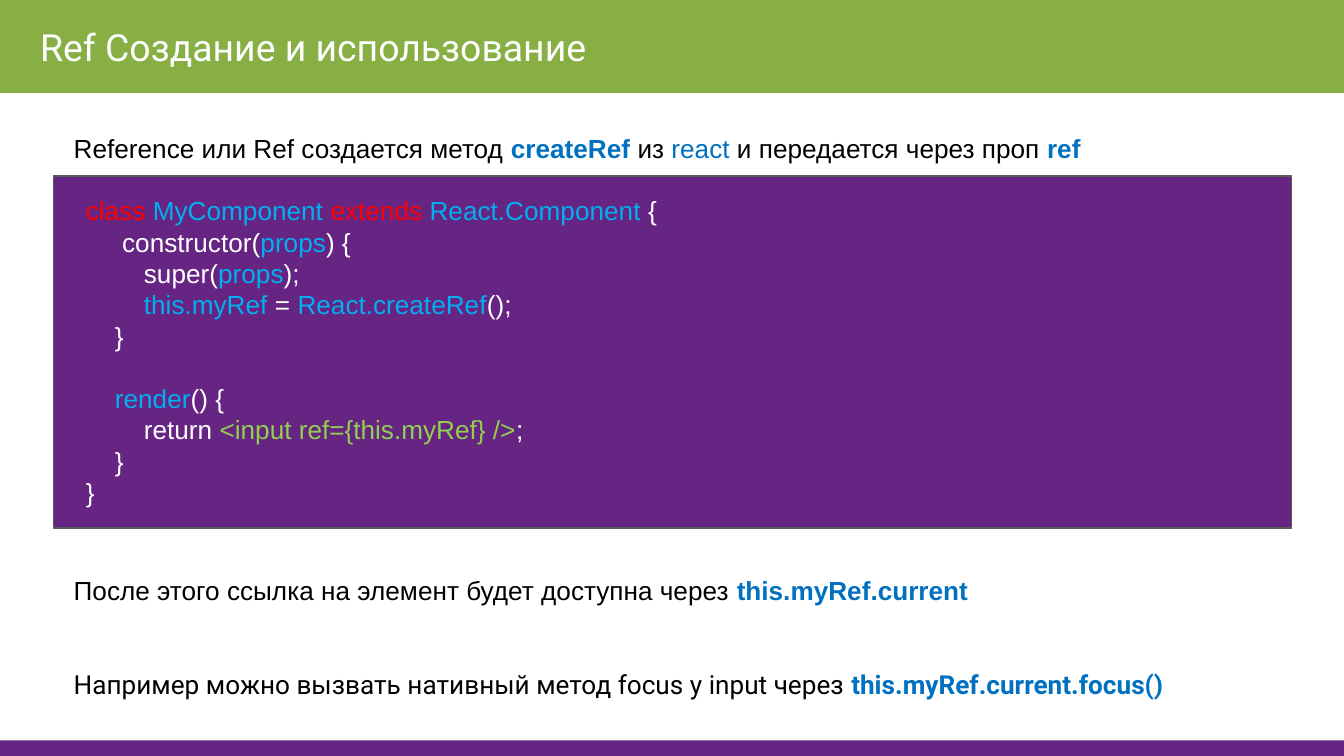
import pptx
import pptx.util
import pptx.dml.color
import pptx.enum.shapes

Inches = pptx.util.Inches
Pt = pptx.util.Pt

THEME = {
    "green": "88AF43", "purple": "662483", "border": "595959",
    "white": "FFFFFF", "black": "000000", "blue": "0070C0",
    "keyword": "FF0000", "name": "00B0F0", "markup": "92D050",
    "title_size": 20, "text_size": 14,
    "text_font": "Arial", "title_font": "Roboto",
}

TITLE = "Ref Создание и использование"

INTRO = [
    ("Reference или Ref создается метод ", "black"), ("createRef ", "blue", True),
    ("из ", "black"), ("react", "blue"),
    (" и передается через проп ", "black"), ("ref", "blue", True),
]

CODE = [
    (0, [("class ", "keyword"), ("MyComponent ", "name"), ("extends ", "keyword"),
         ("React.Component ", "name"), ("{", "white")]),
    (5, [("constructor(", "white"), ("props", "name"), (") {", "white")]),
    (8, [("super(", "white"), ("props", "name"), (");", "white")]),
    (8, [("this.myRef ", "name"), ("= ", "white"), ("React.createRef", "name"), ("();", "white")]),
    (4, [("}", "white")]),
    (4, [("render", "name"), ("() {", "white")]),
    (8, [("return ", "white"), ("<input ref={this.myRef} />", "markup"), (";", "white")]),
    (4, [("}", "white")]),
    (0, [("}", "white")]),
]
RENDER_LINE = 5

ACCESS = [
    ("После этого ссылка на элемент будет доступна через ", "black"),
    ("this.myRef.current", "blue", True),
]
EXAMPLE = [
    ("Например можно вызвать нативный метод focus у input через ", "black"),
    ("this.myRef.current.focus()", "blue", True),
]

BODY_INDENT = 0.15
CODE_INDENT = 0.27 / 5
BODY_SPACING = 1.5
CODE_GAP = 16.5
BODY_GAP = 25


def color(name):
    return pptx.dml.color.RGBColor.from_string(THEME[name])


def add_bar(shapes, box, fill, line=None):
    shape = shapes.add_shape(pptx.enum.shapes.MSO_SHAPE.RECTANGLE, *map(Inches, box))
    shape.shadow.inherit = False
    shape.fill.solid()
    shape.fill.fore_color.rgb = color(fill)
    if line:
        shape.line.color.rgb = color(line)
        shape.line.width = Pt(0.75)
    else:
        shape.line.fill.background()


def add_text(shapes, box, lines, inset=0.1, font="text_font", size="text_size"):
    frame = shapes.add_textbox(*map(Inches, box)).text_frame
    frame.word_wrap = True
    frame.margin_left = frame.margin_right = Inches(0.1)
    frame.margin_top = frame.margin_bottom = Inches(inset)
    for index, (indent, runs) in enumerate(lines):
        paragraph = frame.add_paragraph() if index else frame.paragraphs[0]
        paragraph.font.name = THEME[font]
        paragraph.font.size = Pt(THEME[size])
        properties = paragraph._p.get_or_add_pPr()
        properties.set("marL", str(Inches(indent)))
        properties.set("indent", "0")
        for text, tint, *bold in runs:
            run = paragraph.add_run()
            run.text = text
            run.font.color.rgb = color(tint)
            if bold:
                run.font.bold = True
    return frame.paragraphs


def add_body(shapes, box, texts):
    paragraphs = add_text(shapes, box, [(BODY_INDENT, runs) for runs in texts])
    for paragraph in paragraphs:
        paragraph.line_spacing = BODY_SPACING
    return paragraphs


def main():
    presentation = pptx.Presentation()
    presentation.slide_width = Inches(10)
    presentation.slide_height = presentation.slide_width * 9 // 16
    slide = presentation.slides.add_slide(presentation.slide_layouts[6])
    shapes = slide.shapes

    add_body(shapes, (0.3, 0.77, 9.41, 0.63), [INTRO])

    header = shapes.add_group_shape().shapes
    add_bar(header, (0, 0, 10, 0.69), "green", "green")
    add_text(header, (0.2, 0.08, 6.87, 0.54), [(0, [(TITLE, "white")])],
             font="title_font", size="title_size")

    add_bar(shapes, (0, 5.51, 10, 0.12), "purple")
    add_bar(shapes, (0.4, 1.31, 9.21, 2.62), "purple", "border")
    code = add_text(shapes, (0.54, 1.4, 5.71, 2.46),
                    [(columns * CODE_INDENT, runs) for columns, runs in CODE], inset=0.05)
    code[RENDER_LINE].space_before = Pt(CODE_GAP)

    closing = add_body(shapes, (0.3, 4.06, 9.07, 1.34), [ACCESS, EXAMPLE])
    closing[1].space_before = Pt(BODY_GAP)
    closing[1].font.name = THEME["title_font"]

    presentation.save("out.pptx")


if __name__ == "__main__":
    main()
